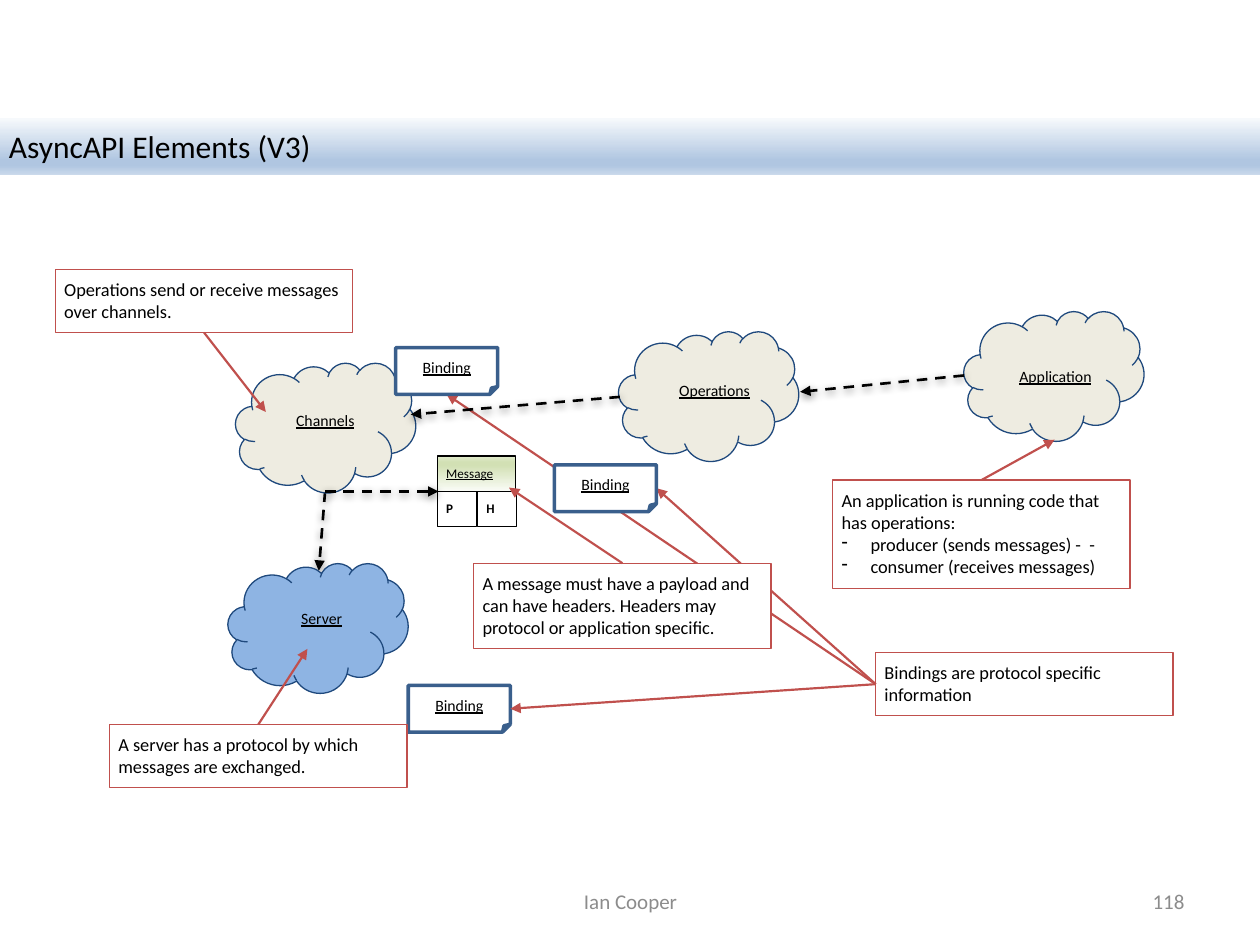
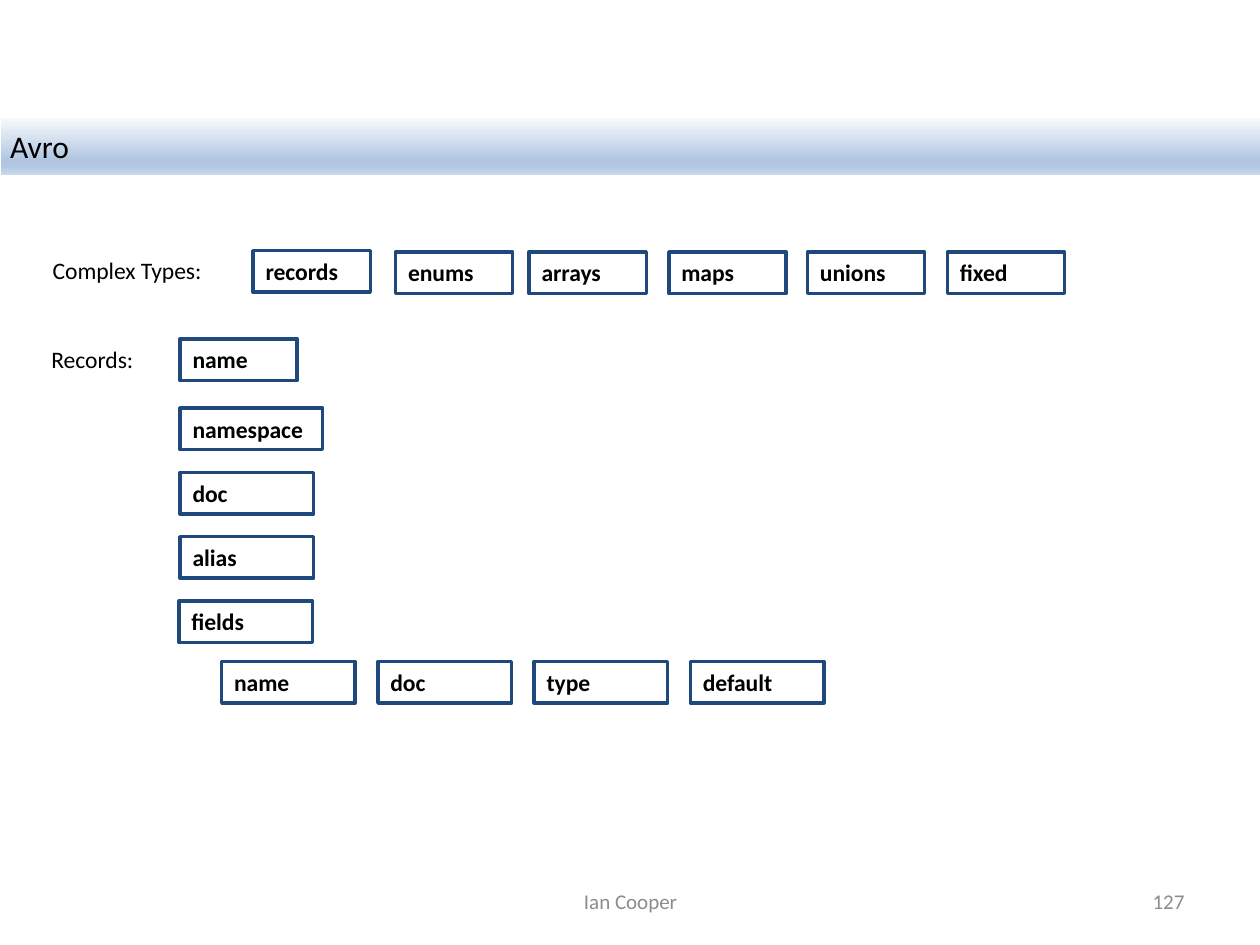
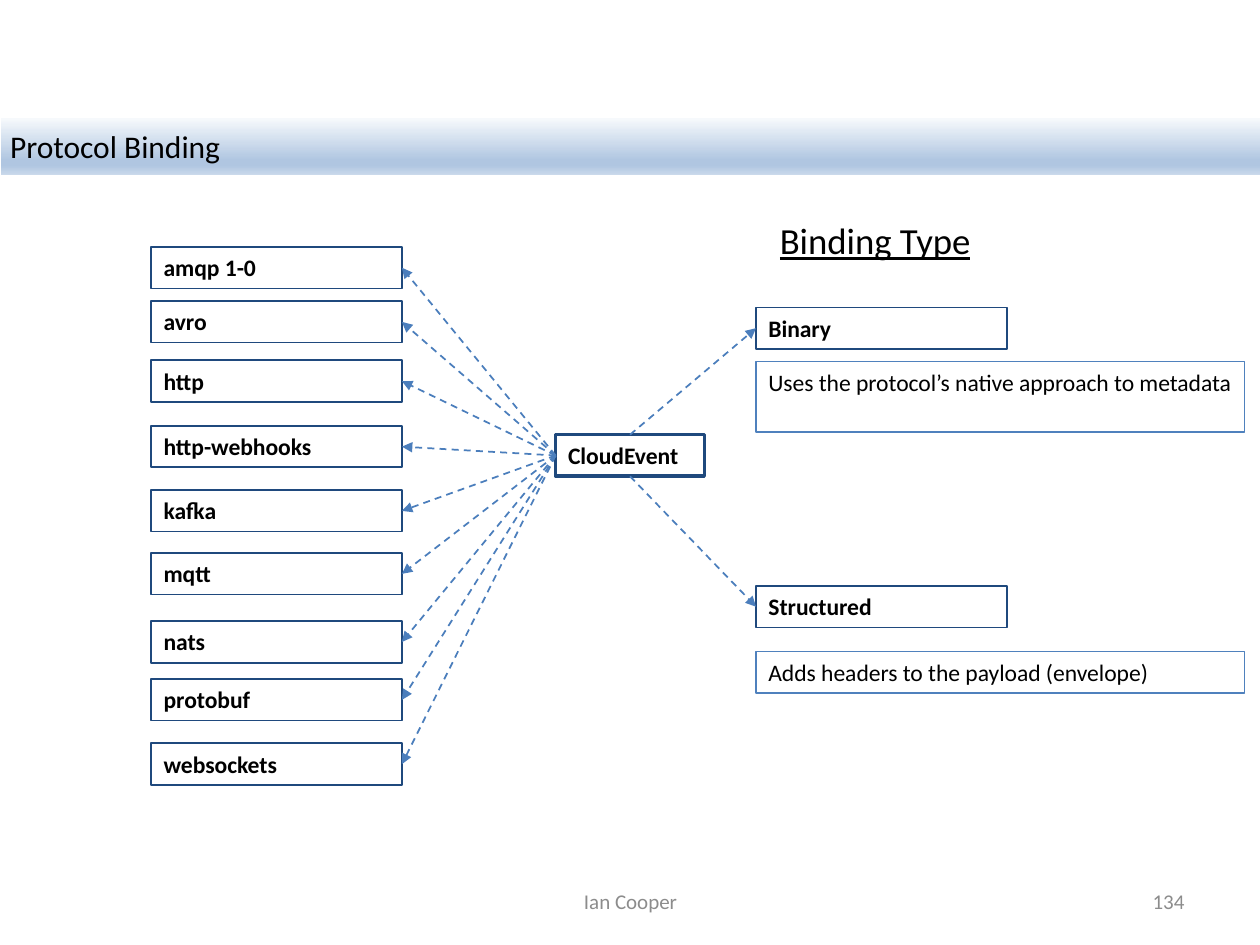
from dataclasses import dataclass

from lxml.etree import SubElement
from pptx import Presentation
from pptx.dml.color import RGBColor
from pptx.enum.dml import MSO_LINE
from pptx.enum.shapes import MSO_CONNECTOR, MSO_SHAPE
from pptx.enum.text import MSO_ANCHOR, MSO_AUTO_SIZE, PP_ALIGN
from pptx.oxml.ns import qn
from pptx.util import Inches, Pt


@dataclass(frozen=True)
class Theme:
    font: str = "Calibri"
    ink: str = "000000"
    paper: str = "FFFFFF"
    footer: str = "8C8C8C"
    note: str = "C0504D"
    navy: str = "1F497D"
    binding: str = "3A5F8C"
    detail: str = "4F81BD"
    link: str = "4B7EBC"
    sand: str = "EEECE1"
    sky: str = "8EB4E3"
    band: tuple = ((0, "F6F9FC"), (74, "B0C6E1"), (83, "B0C6E1"), (100, "CAD9EB"))
    green: tuple = ((0, "FAFCF7"), (74, "D2E0B4"), (83, "D2E0B4"), (100, "E1EBCD"))
    title_size: float = 18
    heading_size: float = 21
    term_size: float = 13.5
    footer_size: float = 12
    note_size: float = 10.5
    label_size: float = 9
    small_size: float = 7.5
    inset: tuple = (0.07, 0.07)
    wide_inset: tuple = (0.1, 0.05)


THEME = Theme()
TOP, LEFT, BOTTOM, RIGHT = range(4)
TERM_HEIGHT = 0.33
AUTHOR = "Ian Cooper"

# Slide 1: AsyncAPI elements
CLOUD_SIZE = (1.43, 1.03)
CLOUDS = [  # label, cloud corner, label frame, fill
    ("Channels", (1.87, 2.88), (2.28, 3.19, 0.69, 0.3), THEME.sand),
    ("Application", (7.65, 2.47), (8.02, 2.84, 0.82, 0.3), THEME.sand),
    ("Server", (1.81, 4.47), (2.32, 4.76, 0.5, 0.3), THEME.sky),
    ("Operations", (4.91, 2.63), (5.32, 2.95, 0.73, 0.3), THEME.sand),
]
MESSAGE = ("Message", (3.47, 3.62, 0.62, 0.28))
MESSAGE_PARTS = ["P", "H"]
BINDING_SIZE = (0.81, 0.37)
BINDINGS = {"channel": (3.14, 2.76), "server": (3.24, 5.44), "message": (4.4, 3.69)}
NOTE_WIDTH = 2.36
NOTES = {  # topic: left, top, height, paragraphs
    "application": (6.61, 3.81, 0.86, [
        "An application is running code that has operations:",
        "- producer (sends messages) -  -",
        "- consumer (receives messages)"]),
    "operations": (0.44, 2.14, 0.5, ["Operations send or receive messages over channels."]),
    "server": (0.87, 5.75, 0.5, ["A server has a protocol by which messages are exchanged."]),
    "bindings": (6.95, 5.18, 0.5, ["Bindings are protocol specific information"]),
    "message": (3.76, 4.47, 0.68, [
        "A message must have a payload and can have headers. "
        "Headers may protocol or application specific."]),
}
NOTE_POINTERS = [  # topic, side of the note, target
    ("application", TOP, (8.37, 3.49)),
    ("message", TOP, (4.04, 3.87)),
    ("operations", BOTTOM, (2.11, 3.27)),
    ("server", TOP, (2.44, 5.15)),
]
BINDING_POINTERS = [  # binding, side, behind the other parts
    ("channel", BOTTOM, True), ("message", RIGHT, True), ("server", RIGHT, False)]
FLOWS = [  # start, end, behind the other parts
    ((2.58, 3.9), (2.53, 4.53), True),
    ((7.65, 2.98), (6.35, 3.11), False),
    ((2.58, 3.9), (3.48, 3.9), False),
    ((4.92, 3.15), (3.26, 3.29), False),
]

# Slide 2: Avro
AVRO_LABELS = [("Complex Types:", (0.32, 1.98, 1.4)), ("Records:", (0.31, 2.69, 0.86))]
COMPLEX_TYPES = [("records", 2.01, 1.99), ("enums", 3.14, 2), ("arrays", 4.2, 2),
                 ("maps", 5.31, 2), ("unions", 6.41, 2), ("fixed", 7.52, 2)]
RECORD_NAME = ("name", (1.43, 2.69, 0.93))
RECORD_PARTS = [("namespace", 1.43, 1.13), ("doc", 1.43, 1.06),
                ("alias", 1.43, 1.06), ("fields", 1.42, 1.06)]
FIELD_PARTS = ["name", "doc", "type", "default"]

# Slide 3: protocol binding
PROTOCOLS = [("amqp 1-0", 1.96), ("avro", 2.39), ("http", 2.86), ("http-webhooks", 3.38),
             ("kafka", 3.89), ("mqtt", 4.39), ("nats", 4.93), ("protobuf", 5.39),
             ("websockets", 5.9)]
EVENT = ("CloudEvent", (4.41, 3.45, 1.18))
BINDING_HEADING = ("Binding Type", (6.09, 1.68, 1.78, 0.45))
BINDING_TYPES = [  # name, top, side of the event, detail, detail top and height
    ("Binary", 2.44, TOP, "Uses the protocol’s native approach to metadata", 2.87, 0.56),
    ("Structured", 4.65, BOTTOM, "Adds headers to the payload (envelope)", 5.17, 0.33),
]


# Shared drawing helpers
def paint_gradient(shape, stops, angle):
    shape.fill.gradient()
    shape.fill.gradient_angle = angle
    stop_list = shape._element.spPr.find(qn("a:gradFill")).find(qn("a:gsLst"))
    for stop in list(stop_list):
        stop_list.remove(stop)
    for position, color in stops:
        stop = SubElement(stop_list, qn("a:gs"), pos=str(position * 1000))
        SubElement(stop, qn("a:srgbClr"), val=color)


def add_dash_bullet(paragraph):
    properties = paragraph._p.get_or_add_pPr()
    properties.set("marL", str(Inches(0.23)))
    properties.set("indent", str(Inches(-0.23)))
    SubElement(properties, qn("a:buChar"), char="-")


def write(shape, paragraphs, size, color=THEME.ink, bold=False, underline=False,
          align=PP_ALIGN.LEFT, anchor=MSO_ANCHOR.TOP, inset=THEME.wide_inset, wrap=True):
    frame = shape.text_frame
    frame.auto_size = MSO_AUTO_SIZE.NONE
    frame.word_wrap = wrap
    frame.vertical_anchor = anchor
    frame.margin_left = frame.margin_right = Inches(inset[0])
    frame.margin_top = frame.margin_bottom = Inches(inset[1])
    for index, text in enumerate(paragraphs):
        paragraph = frame.add_paragraph() if index else frame.paragraphs[0]
        if text.startswith("- "):
            add_dash_bullet(paragraph)
        paragraph.text = text.removeprefix("- ")
        paragraph.alignment = align
        font = paragraph.font
        font.name, font.size, font.bold, font.underline = THEME.font, Pt(size), bold, underline
        font.color.rgb = RGBColor.from_string(color)


def add_label(slide, at, text, size, **style):
    label = slide.shapes.add_textbox(*map(Inches, at))
    write(label, [text], size, **style)


def add_panel(slide, at, line, weight, fill=None, preset=MSO_SHAPE.RECTANGLE):
    panel = slide.shapes.add_shape(preset, *map(Inches, at))
    panel.shadow.inherit = False
    if fill:
        panel.fill.solid()
        panel.fill.fore_color.rgb = RGBColor.from_string(fill)
    else:
        panel.fill.background()
    panel.line.color.rgb = RGBColor.from_string(line)
    panel.line.width = Pt(weight)
    return panel


def add_term(slide, left, top, width, text, weight):
    term = add_panel(slide, (left, top, width, TERM_HEIGHT), THEME.navy, weight)
    write(term, [text], THEME.term_size, bold=True)
    return term


def add_arrow(slide, start, end, color, weight, dashed=False, shadow=False, behind=False):
    """Each end is a point (x, y) or a joint (shape, side)."""
    joints = [not isinstance(place[0], (int, float)) for place in (start, end)]
    points = [(0, 0) if joined else place for place, joined in zip((start, end), joints)]
    arrow = slide.shapes.add_connector(
        MSO_CONNECTOR.STRAIGHT, *(Inches(value) for point in points for value in point))
    if joints[0]:
        arrow.begin_connect(*start)
    if joints[1]:
        arrow.end_connect(*end)
    arrow.line.color.rgb = RGBColor.from_string(color)
    arrow.line.width = Pt(weight)
    if dashed:
        arrow.line.dash_style = MSO_LINE.DASH
    properties = arrow._element.spPr
    SubElement(properties.find(qn("a:ln")), qn("a:tailEnd"), type="triangle")
    effects = SubElement(properties, qn("a:effectLst"))
    if shadow:
        outer = SubElement(effects, qn("a:outerShdw"), blurRad=str(Pt(4.5)),
                           dist=str(Pt(1.5)), dir="5400000", rotWithShape="0")
        shade = SubElement(outer, qn("a:srgbClr"), val=THEME.ink)
        SubElement(shade, qn("a:alpha"), val="50000")
    if behind:
        tree = slide.shapes._spTree
        tree.remove(arrow._element)
        tree.insert(2, arrow._element)


def start_slide(deck, title, number, left=0.01):
    slide = deck.slides.add_slide(deck.slide_layouts[5])
    band = slide.shapes.title
    band.left, band.top = Inches(left), Inches(0.94)
    band.width, band.height = Inches(10 - left), Inches(0.45)
    paint_gradient(band, THEME.band, 270)
    write(band, [title], THEME.title_size, inset=THEME.inset)
    for text, at, align in (
            (AUTHOR, (3.42, 6.95, 3.17, 0.4), PP_ALIGN.CENTER),
            (str(number), (7.17, 6.95, 2.33, 0.4), PP_ALIGN.RIGHT)):
        add_label(slide, at, text, THEME.footer_size, color=THEME.footer,
                  align=align, anchor=MSO_ANCHOR.MIDDLE)
    return slide


# Slides
def build_elements(deck):
    slide = start_slide(deck, "AsyncAPI Elements (V3)", 118, left=0)
    for name, corner, label_at, fill in CLOUDS:
        add_panel(slide, corner + CLOUD_SIZE, THEME.navy, 0.75, fill, MSO_SHAPE.CLOUD)
        add_label(slide, label_at, name, THEME.label_size, underline=True, inset=THEME.inset)

    # Message with its payload and header cells
    text, at = MESSAGE
    message = add_panel(slide, at, THEME.ink, 0.75)
    paint_gradient(message, THEME.green, 90)
    write(message, [text], THEME.small_size, underline=True, inset=THEME.inset)
    left, top, _, height = at
    for index, part in enumerate(MESSAGE_PARTS):
        cell = add_panel(slide, (left + 0.32 * index, top + height, 0.31, height),
                         THEME.ink, 0.75, THEME.paper)
        write(cell, [part], THEME.small_size, bold=True, inset=THEME.inset)

    bindings = {}
    for owner, corner in BINDINGS.items():
        bindings[owner] = add_panel(slide, corner + BINDING_SIZE, THEME.binding, 2,
                                    THEME.paper, MSO_SHAPE.FOLDED_CORNER)
        write(bindings[owner], ["Binding"], THEME.label_size, underline=True,
              align=PP_ALIGN.CENTER, anchor=MSO_ANCHOR.MIDDLE)

    notes = {}
    for topic, (left, top, height, paragraphs) in NOTES.items():
        fill = THEME.paper if topic == "message" else None
        notes[topic] = add_panel(slide, (left, top, NOTE_WIDTH, height), THEME.note, 0.75, fill)
        write(notes[topic], paragraphs, THEME.note_size, inset=THEME.inset)

    for topic, side, target in NOTE_POINTERS:
        add_arrow(slide, (notes[topic], side), target, THEME.note, 1.25)
    for owner, side, behind in BINDING_POINTERS:
        add_arrow(slide, (notes["bindings"], LEFT), (bindings[owner], side),
                  THEME.note, 1.25, behind=behind)
    for start, end, behind in FLOWS:
        add_arrow(slide, start, end, THEME.ink, 1.5, dashed=True, shadow=True, behind=behind)


def build_avro(deck):
    slide = start_slide(deck, "Avro", 127)
    for text, at in AVRO_LABELS:
        add_label(slide, at + (TERM_HEIGHT,), text, THEME.term_size, wrap=False)
    for name, left, top in COMPLEX_TYPES:
        add_term(slide, left, top, 0.93, name, 2)
    name, at = RECORD_NAME
    add_term(slide, *at, name, 2)
    for row, (name, left, width) in enumerate(RECORD_PARTS):
        add_term(slide, left, 3.24 + 0.51 * row, width, name, 2)
    for column, name in enumerate(FIELD_PARTS):
        add_term(slide, 1.76 + 1.24 * column, 5.25, 1.06, name, 2)


def build_protocol_binding(deck):
    slide = start_slide(deck, "Protocol Binding", 134)
    name, at = EVENT
    event = add_term(slide, *at, name, 2)
    for name, top in PROTOCOLS:
        protocol = add_term(slide, 1.2, top, 1.99, name, 1)
        add_arrow(slide, (event, LEFT), (protocol, RIGHT), THEME.link, 1, dashed=True)

    heading, at = BINDING_HEADING
    add_label(slide, at, heading, THEME.heading_size, underline=True)
    for name, top, side, detail, detail_top, detail_height in BINDING_TYPES:
        binding_type = add_term(slide, 6, top, 1.99, name, 1)
        add_arrow(slide, (event, side), (binding_type, LEFT), THEME.link, 1, dashed=True)
        panel = add_panel(slide, (6, detail_top, 3.88, detail_height), THEME.detail, 0.75)
        write(panel, [detail], THEME.term_size)


def main():
    deck = Presentation()
    deck.slide_width, deck.slide_height = Inches(10), Inches(7.5)
    build_elements(deck)
    build_avro(deck)
    build_protocol_binding(deck)
    deck.save("out.pptx")


if __name__ == "__main__":
    main()
